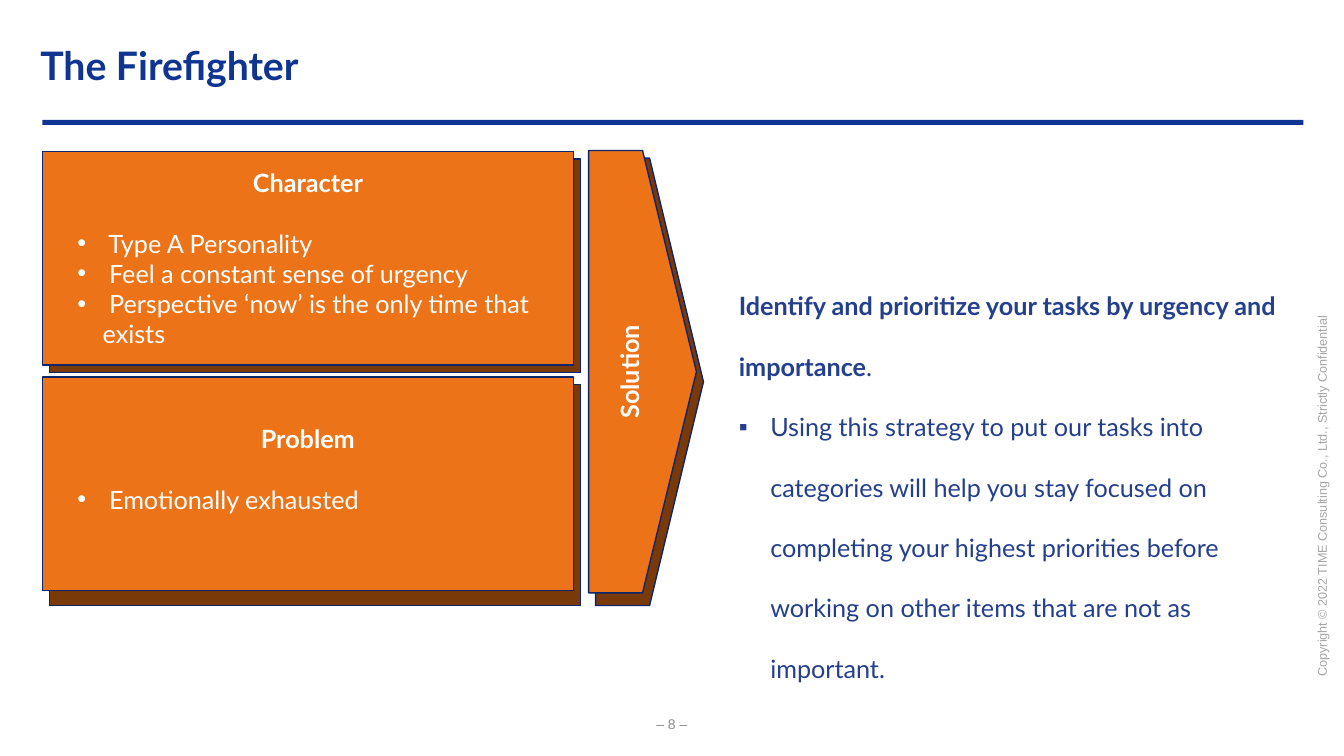
from dataclasses import dataclass

from lxml.etree import SubElement
from pptx import Presentation
from pptx.dml.color import RGBColor
from pptx.enum.shapes import MSO_SHAPE
from pptx.enum.text import MSO_ANCHOR, MSO_AUTO_SIZE, PP_ALIGN
from pptx.oxml.ns import qn
from pptx.util import Pt


@dataclass(frozen=True)
class Theme:
    font: str = "Lato"
    small_font: str = "Arial"
    navy: str = "0F3492"
    text_blue: str = "243F8E"
    outline: str = "0B266C"
    orange: str = "ED7318"
    brown: str = "793909"
    white: str = "FFFFFF"
    page_gray: str = "8C8C8C"
    copyright_gray: str = "A6A6A6"
    title_size: float = 28
    text_size: float = 18
    page_size: float = 10
    copyright_size: float = 9


THEME = Theme()
LINE_HEIGHT = 21.6
LEFT = 30.24
PANEL_WIDTH = 379.44
PANEL_HEIGHT = 152.64
ARROW_LEFT = 420.5
ARROW_WIDTH = 77
SHADOW_X, SHADOW_Y = 5, 5.5


def place(shape, left, top, width, height):
    shape.left, shape.top = Pt(left), Pt(top)
    shape.width, shape.height = Pt(width), Pt(height)


def add_run(paragraph, text, color, size=THEME.text_size, bold=False, font=THEME.font):
    run = paragraph.add_run()
    run.text = text
    run.font.name = font
    run.font.size = Pt(size)
    run.font.bold = bold
    run.font.color.rgb = RGBColor.from_string(color)


def set_bullet(paragraph, symbol=None, margin=0, hang=0):
    """Set the indents and the bullet; no symbol means no bullet."""
    properties = paragraph._p.get_or_add_pPr()
    properties.set("marL", str(Pt(margin)))
    properties.set("indent", str(-Pt(hang)))
    if symbol:
        SubElement(properties, qn("a:buFont")).set("typeface", "Arial")
        SubElement(properties, qn("a:buChar")).set("char", symbol)
    else:
        SubElement(properties, qn("a:buNone"))


def add_block(slide, kind, left, top, width, height, fill, line=THEME.outline):
    shape = slide.shapes.add_shape(kind, Pt(left), Pt(top), Pt(width), Pt(height))
    shape.shadow.inherit = False
    shape.fill.solid()
    shape.fill.fore_color.rgb = RGBColor.from_string(fill)
    if line:
        shape.line.color.rgb = RGBColor.from_string(line)
        shape.line.width = Pt(1)
    else:
        shape.line.fill.background()
    return shape


def add_raised_block(slide, kind, left, top, width, height, shadow_height):
    """Draw an orange block over its offset brown copy."""
    add_block(slide, kind, left + SHADOW_X, top + SHADOW_Y, width, shadow_height, THEME.brown)
    return add_block(slide, kind, left, top, width, height, THEME.orange)


def add_heading(shape, text):
    frame = shape.text_frame
    frame.word_wrap = True
    frame.vertical_anchor = MSO_ANCHOR.MIDDLE
    paragraph = frame.paragraphs[0]
    paragraph.alignment = PP_ALIGN.CENTER
    add_run(paragraph, text, THEME.white, bold=True)
    return frame


def add_panel(slide, top, shadow_height, heading, items, lines_below=0):
    panel = add_raised_block(
        slide, MSO_SHAPE.RECTANGLE, LEFT, top, PANEL_WIDTH, PANEL_HEIGHT, shadow_height
    )
    frame = add_heading(panel, heading)
    frame.margin_bottom = Pt(3.6 + lines_below * LINE_HEIGHT)
    for index, item in enumerate(items):
        paragraph = frame.add_paragraph()
        paragraph.alignment = PP_ALIGN.LEFT
        paragraph.space_before = Pt(0 if index else LINE_HEIGHT)
        set_bullet(paragraph, "•", 36, 18)
        add_run(paragraph, item, THEME.white)


def add_solution_arrow(slide):
    arrow = add_raised_block(
        slide, MSO_SHAPE.PENTAGON, ARROW_LEFT, 107.5, ARROW_WIDTH, 316, 319.5
    )
    frame = add_heading(arrow, "Solution")
    frame._txBody.bodyPr.set("vert", "vert270")


def add_label(slide, text, left, top, width, height, color, size, alignment, rotation=0):
    box = slide.shapes.add_textbox(Pt(left), Pt(top), Pt(width), Pt(height))
    box.rotation = rotation
    frame = box.text_frame
    frame.word_wrap = True
    frame.vertical_anchor = MSO_ANCHOR.MIDDLE
    paragraph = frame.paragraphs[0]
    paragraph.alignment = alignment
    add_run(paragraph, text, color, size, font=THEME.small_font)


def fill_title(title, text):
    place(title, 21.6, 13, 918, 62)
    title.text_frame.vertical_anchor = MSO_ANCHOR.MIDDLE
    paragraph = title.text_frame.paragraphs[0]
    paragraph.alignment = PP_ALIGN.LEFT
    paragraph.line_spacing = 1.14
    add_run(paragraph, text, THEME.navy, THEME.title_size, bold=True)


def fill_solution(body):
    place(body, 520.5, 182.2, 412.5, 317)
    frame = body.text_frame
    frame.word_wrap = True
    frame.auto_size = MSO_AUTO_SIZE.NONE
    frame.vertical_anchor = MSO_ANCHOR.TOP
    lead, detail = frame.paragraphs[0], frame.add_paragraph()
    for paragraph in (lead, detail):
        paragraph.line_spacing = 2.0
        paragraph.space_before = Pt(0)
    set_bullet(lead)
    set_bullet(detail, "▪", 22.5, 22.5)
    add_run(
        lead,
        "Identify and prioritize your tasks by urgency and importance",
        THEME.text_blue,
        bold=True,
    )
    add_run(lead, ".", THEME.text_blue)
    add_run(
        detail,
        "Using this strategy to put our tasks into categories will help you stay focused "
        "on completing your highest priorities before working on other items that are "
        "not as important.",
        THEME.text_blue,
    )


def main():
    presentation = Presentation()
    presentation.slide_width, presentation.slide_height = Pt(960), Pt(540)
    slide = presentation.slides.add_slide(presentation.slide_layouts[1])

    fill_title(slide.shapes.title, "The Firefighter")
    fill_solution(slide.placeholders[1])
    add_block(slide, MSO_SHAPE.RECTANGLE, LEFT, 85.7, 900.7, 3.6, THEME.navy, line=None)

    add_panel(slide, 269.3, 157.7, "Problem", [" Emotionally exhausted"], lines_below=1)
    add_panel(
        slide,
        108,
        PANEL_HEIGHT,
        "Character",
        [
            " Type A Personality",
            " Feel a constant sense of urgency",
            " Perspective ‘now’ is the only time that exists",
        ],
    )
    add_solution_arrow(slide)

    add_label(slide, "– 8 –", 444.2, 509.8, 71.3, 15.1,
              THEME.page_gray, THEME.page_size, PP_ALIGN.CENTER)
    add_label(slide, "Copyright © 2022 TIME Consulting Co., Ltd., Strictly Confidential",
              802, 339.1, 284.4, 18,
              THEME.copyright_gray, THEME.copyright_size, PP_ALIGN.LEFT, rotation=270)
    presentation.save("out.pptx")


if __name__ == "__main__":
    main()
